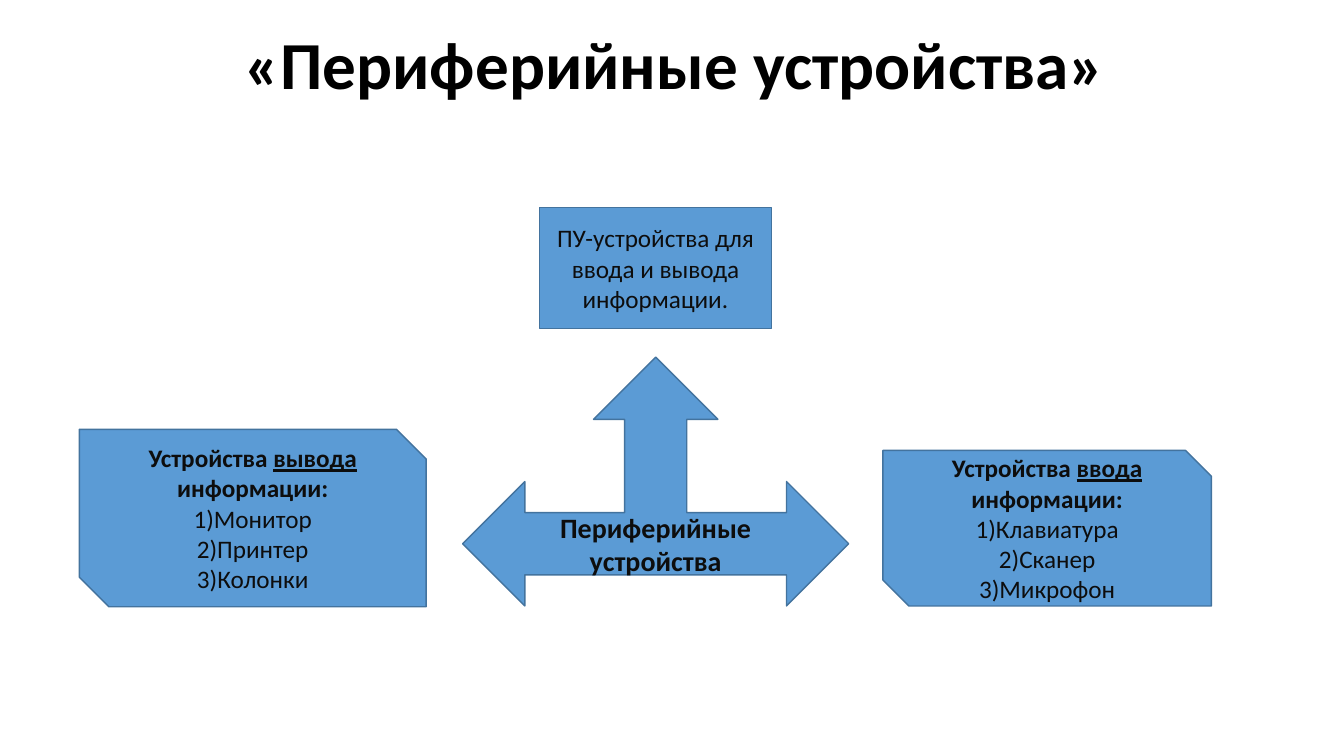
from dataclasses import dataclass

from pptx import Presentation
from pptx.dml.color import RGBColor
from pptx.enum.shapes import MSO_SHAPE
from pptx.enum.text import MSO_ANCHOR, PP_ALIGN
from pptx.util import Cm, Pt


@dataclass(frozen=True)
class Theme:
    font: str = "Calibri"
    title_color: RGBColor = RGBColor(0x00, 0x00, 0x00)
    text_color: RGBColor = RGBColor(0x0D, 0x0D, 0x0D)
    fill: RGBColor = RGBColor(0x5B, 0x9B, 0xD5)
    line: RGBColor = RGBColor(0x43, 0x73, 0x9E)
    title_size: Pt = Pt(48)
    hub_size: Pt = Pt(20)
    body_size: Pt = Pt(18)


THEME = Theme()


def format_paragraph(p, size, color=THEME.text_color, bold=False):
    p.alignment = PP_ALIGN.CENTER
    p.font.name = THEME.font
    p.font.size = size
    p.font.bold = bold
    p.font.color.rgb = color


def set_title(s, text):
    sp = s.shapes.title
    sp.left, sp.top, sp.width, sp.height = Cm(2.41), Cm(0.48), Cm(29.21), Cm(2.44)
    tf = sp.text_frame
    tf.text = text
    tf.vertical_anchor = MSO_ANCHOR.MIDDLE
    p = tf.paragraphs[0]
    p.line_spacing = 0.9
    format_paragraph(p, THEME.title_size, THEME.title_color, bold=True)


def add_block(s, kind, left, top, width, height):
    sp = s.shapes.add_shape(kind, Cm(left), Cm(top), Cm(width), Cm(height))
    sp.shadow.inherit = False
    sp.fill.solid()
    sp.fill.fore_color.rgb = THEME.fill
    sp.line.color.rgb = THEME.line
    sp.line.width = Pt(1)
    tf = sp.text_frame
    tf.word_wrap = True
    tf.vertical_anchor = MSO_ANCHOR.MIDDLE
    return tf


def add_label(s, kind, box, text, size, bold=False):
    tf = add_block(s, kind, *box)
    tf.text = text
    format_paragraph(tf.paragraphs[0], size, bold=bold)


def add_device_list(s, box, direction, devices):
    tf = add_block(s, MSO_SHAPE.SNIP_2_DIAG_RECTANGLE, *box)
    p = tf.paragraphs[0]
    format_paragraph(p, THEME.body_size, bold=True)
    for text in ("Устройства ", direction, " информации:"):
        r = p.add_run()
        r.text = text
        r.font.underline = text == direction
    for number, device in enumerate(devices, 1):
        p = tf.add_paragraph()
        p.text = f"{number}){device}"
        format_paragraph(p, THEME.body_size)


def main():
    prs = Presentation()
    prs.slide_width, prs.slide_height = Cm(33.87), Cm(19.05)
    s = prs.slides.add_slide(prs.slide_layouts[5])
    set_title(s, "«Периферийные устройства»")
    add_label(s, MSO_SHAPE.LEFT_RIGHT_UP_ARROW, (11.66, 9, 9.73, 6.27),
              "Периферийные устройства", THEME.hub_size, bold=True)
    add_label(s, MSO_SHAPE.RECTANGLE, (13.6, 5.23, 5.84, 3.05),
              "ПУ-устройства для ввода и вывода информации.", THEME.body_size)
    add_device_list(s, (2, 10.82, 8.74, 4.47), "вывода",
                    ("Монитор", "Принтер", "Колонки"))
    add_device_list(s, (22.25, 11.35, 8.28, 3.92), "ввода",
                    ("Клавиатура", "Сканер", "Микрофон"))
    prs.save("out.pptx")


if __name__ == "__main__":
    main()
